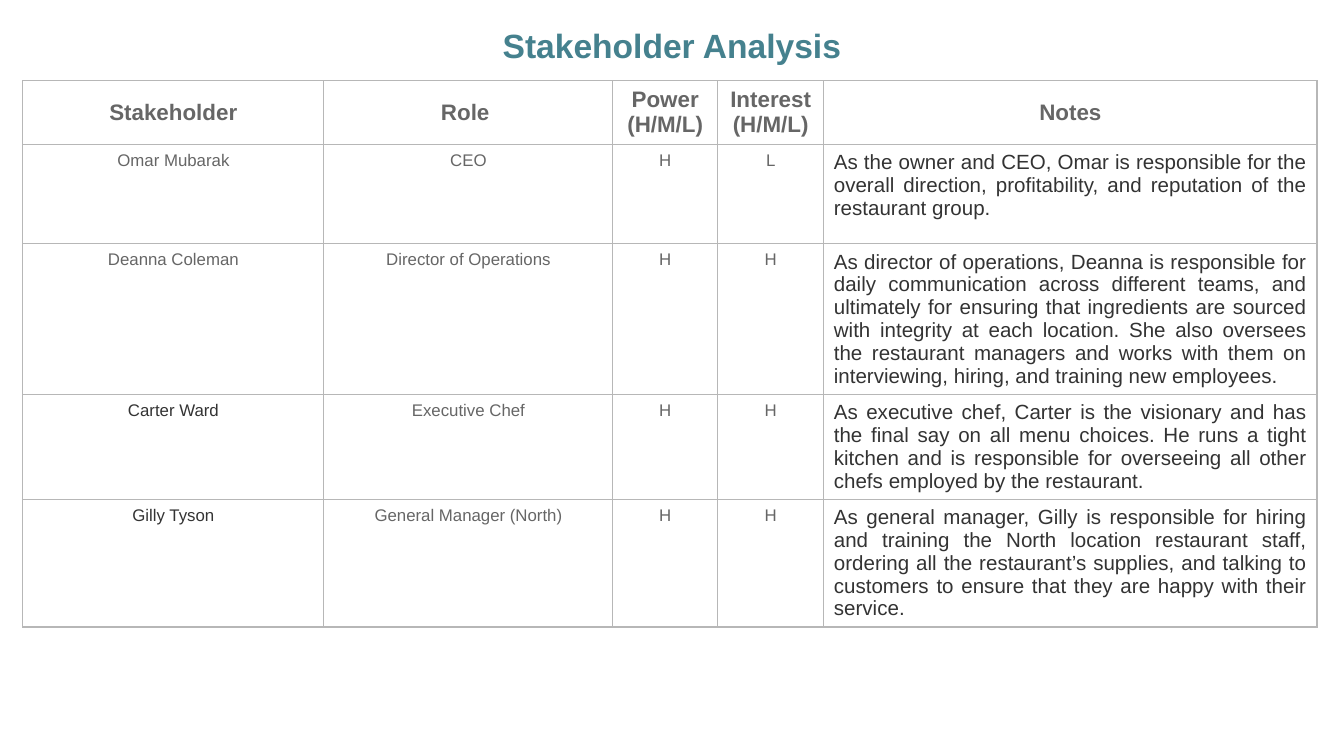
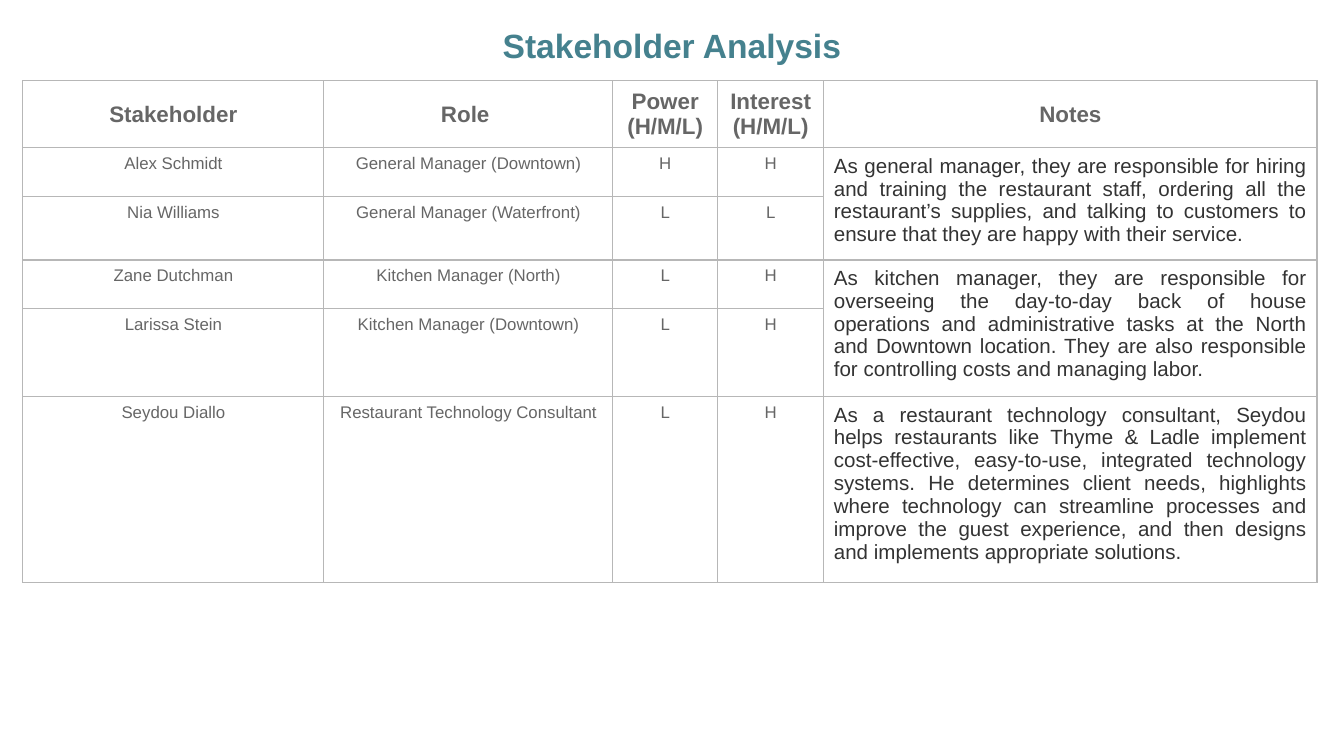
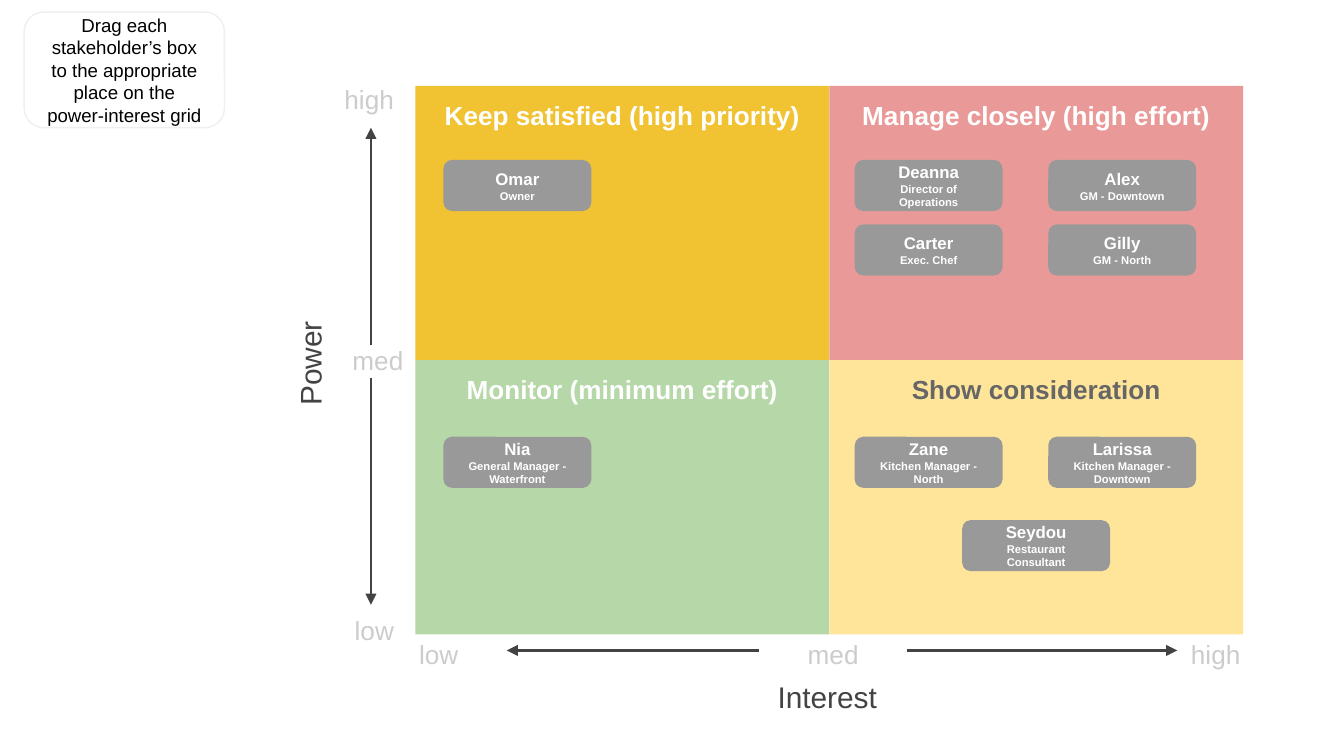
from lxml.etree import SubElement
from pptx import Presentation
from pptx.dml.color import RGBColor
from pptx.enum.shapes import MSO_CONNECTOR, MSO_SHAPE
from pptx.enum.text import MSO_ANCHOR, PP_ALIGN
from pptx.oxml import parse_xml
from pptx.oxml.ns import nsdecls, qn
from pptx.util import Inches, Pt

FONT = "Arial"
COLORS = {
    "title": "45818E", "grey": "666666", "ink": "333333", "border": "B7B7B7",
    "axis": "434343", "scale": "CCCCCC", "tile": "999999", "hint_line": "EFEFEF",
    "gold": "F1C232", "rose": "EA9999", "green": "B6D7A8", "cream": "FFE599",
    "white": "FFFFFF", "black": "000000",
}
CENTER, RIGHT, JUSTIFY = PP_ALIGN.CENTER, PP_ALIGN.RIGHT, PP_ALIGN.JUSTIFY
TOP, MIDDLE = MSO_ANCHOR.TOP, MSO_ANCHOR.MIDDLE

TITLE = "Stakeholder Analysis"
HEADERS = ["Stakeholder", "Role ", "Power (H/M/L)", "Interest (H/M/L)", "Notes"]
COLUMN_WIDTHS = [2.24, 2.15, 0.78, 0.79, 3.67]
TABLE_X, TABLE_Y, TABLE_FRAME = 0.17, 0.6, 3.28
DARK_NAMES = {"Carter Ward", "Gilly Tyson"}

# Each row: name, role, power, interest, notes; None continues the notes above.
TABLES = [
    ([0.47, 0.74, 0.24, 0.24, 0.24], [
        ("Omar Mubarak", "CEO", "H", "L",
         "As the owner and CEO, Omar is responsible for the overall direction, "
         "profitability, and reputation of the restaurant group."),
        ("Deanna Coleman", "Director of Operations", "H", "H",
         "As director of operations, Deanna is responsible for daily communication "
         "across different teams, and ultimately for ensuring that ingredients are "
         "sourced with integrity at each location. She also oversees the restaurant "
         "managers and works with them on interviewing, hiring, and training new "
         "employees."),
        ("Carter Ward", "Executive Chef", "H", "H",
         "As executive chef, Carter is the visionary and has the final say on all "
         "menu choices. He runs a tight kitchen and is responsible for overseeing "
         "all other chefs employed by the restaurant."),
        ("Gilly Tyson", "General Manager (North)", "H", "H",
         "As general manager, Gilly is responsible for hiring and training the North "
         "location restaurant staff, ordering all the restaurant’s supplies, and "
         "talking to customers to ensure that they are happy with their service."),
    ]),
    ([0.28] + [0.36] * 5, [
        ("Alex Schmidt", "General Manager (Downtown)", "H", "H",
         "As general manager, they are responsible for hiring and training the "
         "restaurant staff, ordering all the restaurant’s supplies, and talking to "
         "customers to ensure that they are happy with their service."),
        ("Nia Williams", "General Manager (Waterfront)", "L", "L", None),
        ("Zane Dutchman", "Kitchen Manager (North)", "L", "H",
         "As kitchen manager, they are responsible for overseeing the day-to-day back "
         "of house operations and administrative tasks at the North and Downtown "
         "location. They are also responsible for controlling costs and managing "
         "labor."),
        ("Larissa Stein", "Kitchen Manager (Downtown)", "L", "H", None),
        ("Seydou Diallo", "Restaurant Technology Consultant", "L", "H",
         "As a restaurant technology consultant, Seydou helps restaurants like "
         "Thyme & Ladle implement cost-effective, easy-to-use, integrated technology "
         "systems. He determines client needs, highlights where technology can "
         "streamline processes and improve the guest experience, and then designs "
         "and implements appropriate solutions."),
    ]),
]

GRID_X, GRID_Y, QUAD_W, QUAD_H = 3.09, 0.64, 3.08, 2.04
QUADRANTS = [
    ("Keep satisfied (high priority)", "gold", "white"),
    ("Manage closely (high effort)", "rose", "white"),
    ("Monitor (minimum effort)", "green", "white"),
    ("Show consideration", "cream", "grey"),
]
TILE_W, TILE_H = 1.1, 0.38
TILES = [
    ("Omar", "Owner", 3.3, 1.19),
    ("Deanna", "Director of Operations", 6.36, 1.19),
    ("Alex", "GM - Downtown", 7.8, 1.19),
    ("Carter", "Exec. Chef", 6.36, 1.67),
    ("Gilly", "GM - North", 7.8, 1.67),
    ("Nia", "General Manager - Waterfront", 3.3, 3.25),
    ("Zane", "Kitchen Manager - North", 6.36, 3.25),
    ("Larissa", "Kitchen Manager - Downtown", 7.8, 3.25),
    ("Seydou", "Restaurant Consultant", 7.16, 3.87),
]
HINT = "Drag each stakeholder’s box to the appropriate place on the power-interest grid"
SCALE_LABELS = [
    ("high", (1.7, 0.52, 1.33, 0.26), RIGHT),
    ("med", (2.42, 2.46, 0.68, 0.44), RIGHT),
    ("low", (1.7, 4.47, 1.33, 0.26), RIGHT),
    ("low", (2.76, 4.65, 1.01, 0.38), CENTER),
    ("med", (5.65, 4.65, 1.1, 0.38), CENTER),
    ("high", (8.54, 4.65, 1.01, 0.38), CENTER),
]
POWER_X, INTEREST_Y = 2.76, 4.84
ARROWS = [
    (POWER_X, 2.57, POWER_X, 0.95), (POWER_X, 2.81, POWER_X, 4.5),
    (6.75, INTEREST_Y, 8.76, INTEREST_Y), (5.65, INTEREST_Y, 3.77, INTEREST_Y),
]


def rgb(name):
    return RGBColor.from_string(COLORS[name])


def write(tf, lines, align=CENTER, spacing=None):
    """Fill a text frame; each line is (text, size, colour, bold)."""
    for i, (text, size, color, bold) in enumerate(lines):
        p = tf.add_paragraph() if i else tf.paragraphs[0]
        p.alignment = align
        if spacing:
            p.line_spacing = spacing
        r = p.add_run()
        r.text = text
        r.font.name, r.font.size, r.font.bold = FONT, Pt(size), bold
        r.font.color.rgb = rgb(color)


def set_frame(tf, anchor):
    tf.word_wrap = True
    tf.vertical_anchor = anchor
    tf.margin_left = tf.margin_right = tf.margin_top = tf.margin_bottom = Inches(0.1)


def add_label(s, box, line, align=CENTER, anchor=TOP, spacing=None):
    sp = s.shapes.add_textbox(*map(Inches, box))
    set_frame(sp.text_frame, anchor)
    write(sp.text_frame, [line], align, spacing)
    return sp


def add_box(s, kind, box, lines, fill=None, line=None, anchor=MIDDLE):
    sp = s.shapes.add_shape(kind, *map(Inches, box))
    sp.shadow.inherit = False
    if fill:
        sp.fill.solid()
        sp.fill.fore_color.rgb = rgb(fill)
    else:
        sp.fill.background()
    if line:
        sp.line.color.rgb = rgb(line)
        sp.line.width = Pt(0.75)
    else:
        sp.line.fill.background()
    set_frame(sp.text_frame, anchor)
    write(sp.text_frame, lines)


def add_arrow(s, ends):
    c = s.shapes.add_connector(MSO_CONNECTOR.STRAIGHT, *map(Inches, ends))
    c.line.color.rgb = rgb("axis")
    c.line.width = Pt(1.5)
    SubElement(c.line._get_or_add_ln(), qn("a:tailEnd"), type="triangle")
    SubElement(c._element.spPr, qn("a:effectLst"))


def style_cell(cell, anchor):
    cell.vertical_anchor = anchor
    cell.margin_left = cell.margin_right = Pt(5.4)
    cell.margin_top = cell.margin_bottom = Pt(3.6)
    cell.fill.background()
    tcPr = cell._tc.get_or_add_tcPr()
    for i, side in enumerate(("lnL", "lnR", "lnT", "lnB")):
        tcPr.insert(i, parse_xml(
            f'<a:{side} {nsdecls("a")} w="{Pt(0.75)}"><a:solidFill>'
            f'<a:srgbClr val="{COLORS["border"]}"/></a:solidFill></a:{side}>'))


def build_table_slide(s, heights, people):
    box = (TABLE_X, TABLE_Y, TABLE_FRAME, TABLE_FRAME)
    frame = s.shapes.add_table(len(heights), len(HEADERS), *map(Inches, box))
    table = frame.table
    table.first_row = table.horz_banding = False
    for column, width in zip(table.columns, COLUMN_WIDTHS):
        column.width = Inches(width)
    for row, height in zip(table.rows, heights):
        row.height = Inches(height)
    # Rows grow with their text, so the frame keeps its own size.
    frame.width = frame.height = Inches(TABLE_FRAME)
    notes_col = len(HEADERS) - 1
    for i, values in enumerate([HEADERS, *people]):
        for j, text in enumerate(values):
            cell = table.cell(i, j)
            style_cell(cell, TOP if i else MIDDLE)
            if text is None:
                table.cell(i - 1, j).merge(cell)
            elif i == 0:
                write(cell.text_frame, [(text, 12, "grey", True)])
            elif j == notes_col:
                write(cell.text_frame, [(text, 11, "ink", False)], JUSTIFY)
            else:
                color = "ink" if text in DARK_NAMES else "grey"
                write(cell.text_frame, [(text, 9, color, False)])
    add_label(s, (0.83, 0.04, 8.34, 0.5), (TITLE, 18, "title", True), spacing=1.15)


def build_grid_slide(s):
    for i, (text, fill, color) in enumerate(QUADRANTS):
        row, col = divmod(i, 2)
        box = (GRID_X + col * QUAD_W, GRID_Y + row * QUAD_H, QUAD_W, QUAD_H)
        add_box(s, MSO_SHAPE.RECTANGLE, box, [(text, 14, color, True)], fill, anchor=TOP)
    power = add_label(s, (1.39, 2.53, 1.83, 0.35), ("Power", 16, "axis", False),
                      anchor=MIDDLE)
    power.rotation = 270
    add_label(s, (5.41, 4.95, 1.49, 0.47), ("Interest", 16, "axis", False))
    for text, box, align in SCALE_LABELS:
        add_label(s, box, (text, 14, "scale", False), align)
    for ends in ARROWS:
        add_arrow(s, ends)
    add_box(s, MSO_SHAPE.ROUNDED_RECTANGLE, (0.18, 0.09, 1.49, 0.86),
            [(HINT, 10, "black", False)], line="hint_line")
    for name, role, x, y in TILES:
        add_box(s, MSO_SHAPE.ROUNDED_RECTANGLE, (x, y, TILE_W, TILE_H),
                [(name, 9, "white", True), (role, 6, "white", True)], "tile")


def main():
    prs = Presentation()
    prs.slide_width = Inches(10)
    prs.slide_height = prs.slide_width * 9 // 16
    blank = prs.slide_layouts[6]
    for heights, people in TABLES:
        build_table_slide(prs.slides.add_slide(blank), heights, people)
    build_grid_slide(prs.slides.add_slide(blank))
    prs.save("out.pptx")


if __name__ == "__main__":
    main()
